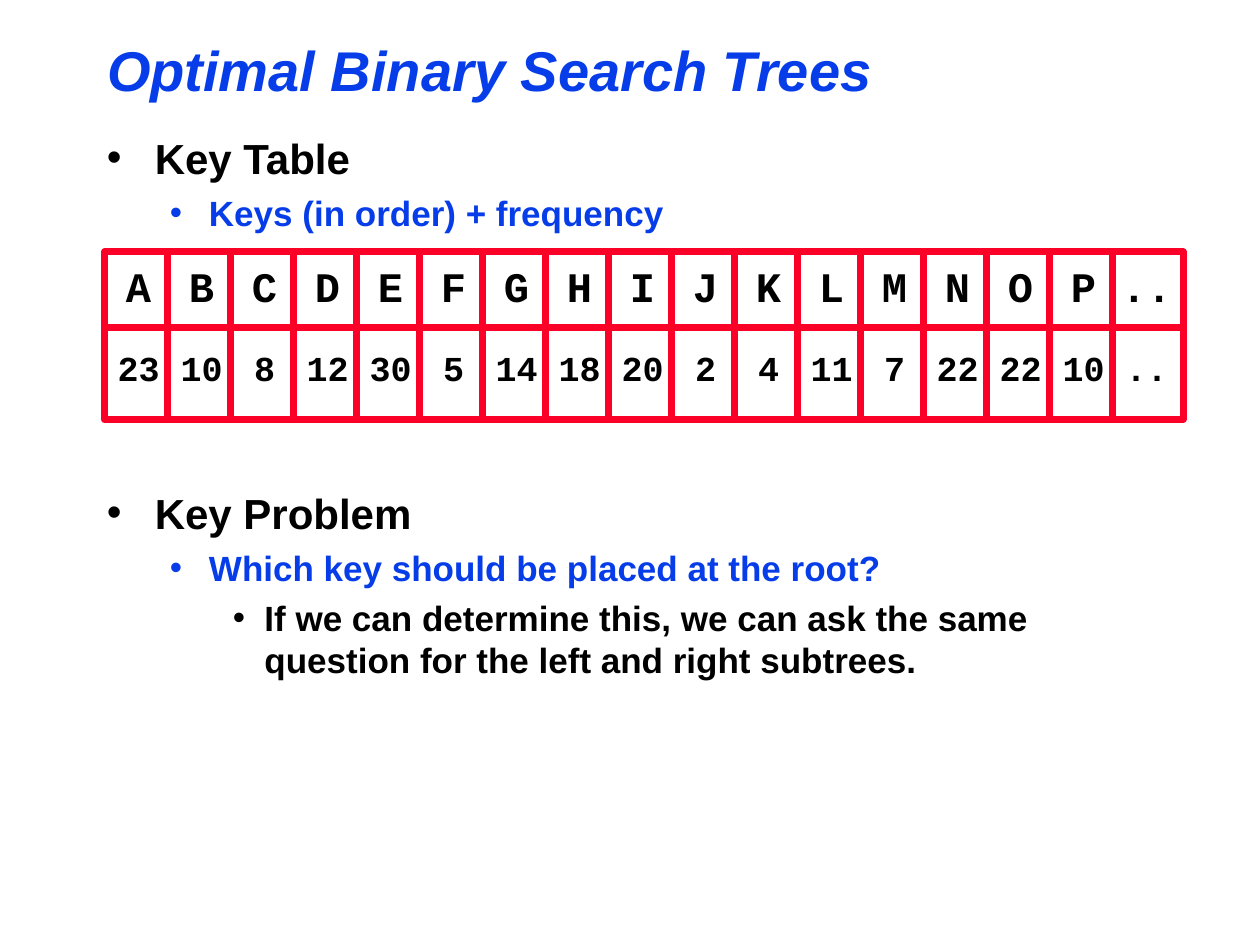
from pptx import Presentation
from pptx.dml.color import RGBColor
from pptx.enum.shapes import MSO_CONNECTOR as Connector, MSO_SHAPE as Shape
from pptx.enum.text import MSO_ANCHOR as Anchor, MSO_AUTO_SIZE as AutoSize, PP_ALIGN as Align
from pptx.oxml import parse_xml
from pptx.oxml.ns import nsdecls
from pptx.oxml.xmlchemy import OxmlElement
from pptx.util import Inches, Pt

BLUE = RGBColor(0x06, 0x3D, 0xE8)
RED = RGBColor(0xFC, 0x01, 0x28)
BLACK = RGBColor(0, 0, 0)

KEYS = [*"ABCDEFGHIJKLMNOP", ".."]
FREQUENCIES = [23, 10, 8, 12, 30, 5, 14, 18, 20, 2, 4, 11, 7, 22, 22, 10, ".."]
OUTLINE = [
    (0, "Key Table", 6),
    (1, "Keys (in order) + frequency", 5),
    (0, "Key Problem", 145),
    (1, "Which key should be placed at the root?", 5),
    (2, "If we can determine this, we can ask the same question "
        "for the left and right subtrees.", 5),
]


class SlideBuilder:
    font = "Arial"
    mono = "Courier New"
    levels = [(0.38, 0.38, 24, BLACK), (0.81, 0.31, 20, BLUE), (1.25, 0.25, 20, BLACK)]
    border = Pt(4)

    def __init__(self, prs):
        self.s = prs.slides.add_slide(prs.slide_layouts[5])

    def format(self, p, name, size, color, italic=False):
        for r in p.runs:
            r.font.name = name
            r.font.size = Pt(size)
            r.font.bold = True
            r.font.italic = italic
            r.font.color.rgb = color

    def title(self, text, x, y, w, h):
        sp = self.s.shapes.title
        sp.left, sp.top, sp.width, sp.height = map(Inches, (x, y, w, h))
        tf = sp.text_frame
        tf.text = text
        tf.auto_size = AutoSize.NONE
        tf.vertical_anchor = Anchor.MIDDLE
        p = tf.paragraphs[0]
        p.alignment = Align.LEFT
        self.format(p, self.font, 32, BLUE, italic=True)

    def outline(self, items, x, y, w, h):
        tf = self.s.shapes.add_textbox(*map(Inches, (x, y, w, h))).text_frame
        tf.word_wrap = True
        for i, (level, text, before) in enumerate(items):
            p = tf.add_paragraph() if i else tf.paragraphs[0]
            p.text = text
            p.level = level
            p.space_before = Pt(before)
            indent, hang, size, color = self.levels[level]
            self.format(p, self.font, size, color)
            self.bullet(p, indent, hang, color)

    def bullet(self, p, indent, hang, color):
        pPr = p._p.get_or_add_pPr()
        pPr.set("marL", str(Inches(indent)))
        pPr.set("indent", str(-Inches(hang)))
        pPr.append(parse_xml(
            f'<a:buClr {nsdecls("a")}><a:srgbClr val="{color}"/></a:buClr>'))
        for tag, name, value in (("a:buFont", "typeface", self.font),
                                 ("a:buChar", "char", "•")):
            element = OxmlElement(tag)
            element.set(name, value)
            pPr.append(element)

    def label(self, text, center, y, h, size):
        w = len(text) * size / 120 + 0.2
        sp = self.s.shapes.add_textbox(*map(Inches, (center - w / 2, y, w, h)))
        tf = sp.text_frame
        tf.text = text
        tf.word_wrap = False
        p = tf.paragraphs[0]
        p.alignment = Align.CENTER
        self.format(p, self.mono, size, BLACK)

    def frame(self, x, y, w, h):
        sp = self.s.shapes.add_shape(Shape.RECTANGLE, *map(Inches, (x, y, w, h)))
        sp.shadow.inherit = False
        sp.fill.background()
        sp.line.color.rgb = RED
        sp.line.width = self.border

    def line(self, x1, y1, x2, y2):
        line = self.s.shapes.add_connector(
            Connector.STRAIGHT, *map(Inches, (x1, y1, x2, y2)))
        line.line.color.rgb = RED
        line.line.width = self.border
        line._element.spPr.append(OxmlElement("a:effectLst"))


def main():
    prs = Presentation()
    prs.slide_width, prs.slide_height = Inches(10), Inches(7.5)
    b = SlideBuilder(prs)
    b.title("Optimal Binary Search Trees", 0.75, 0.17, 8.5, 0.75)
    b.outline(OUTLINE, 0.75, 1, 8.58, 6)

    left, top, width, height, step = 0.83, 2, 8.56, 1.33, 0.5
    b.frame(left, top, width, height)
    b.line(0.86, 2.6, left + width, 2.6)
    for i in range(1, len(KEYS)):
        x = left + i * step
        b.line(x, 3.36, x, 1.97)
    for i, (key, frequency) in enumerate(zip(KEYS, FREQUENCIES)):
        center = 1.1 + i * step
        b.label(key, center, 2.02, 0.5, 24)
        b.label(str(frequency), center, 2.7, 0.43, 20)
    prs.save("out.pptx")


if __name__ == "__main__":
    main()
